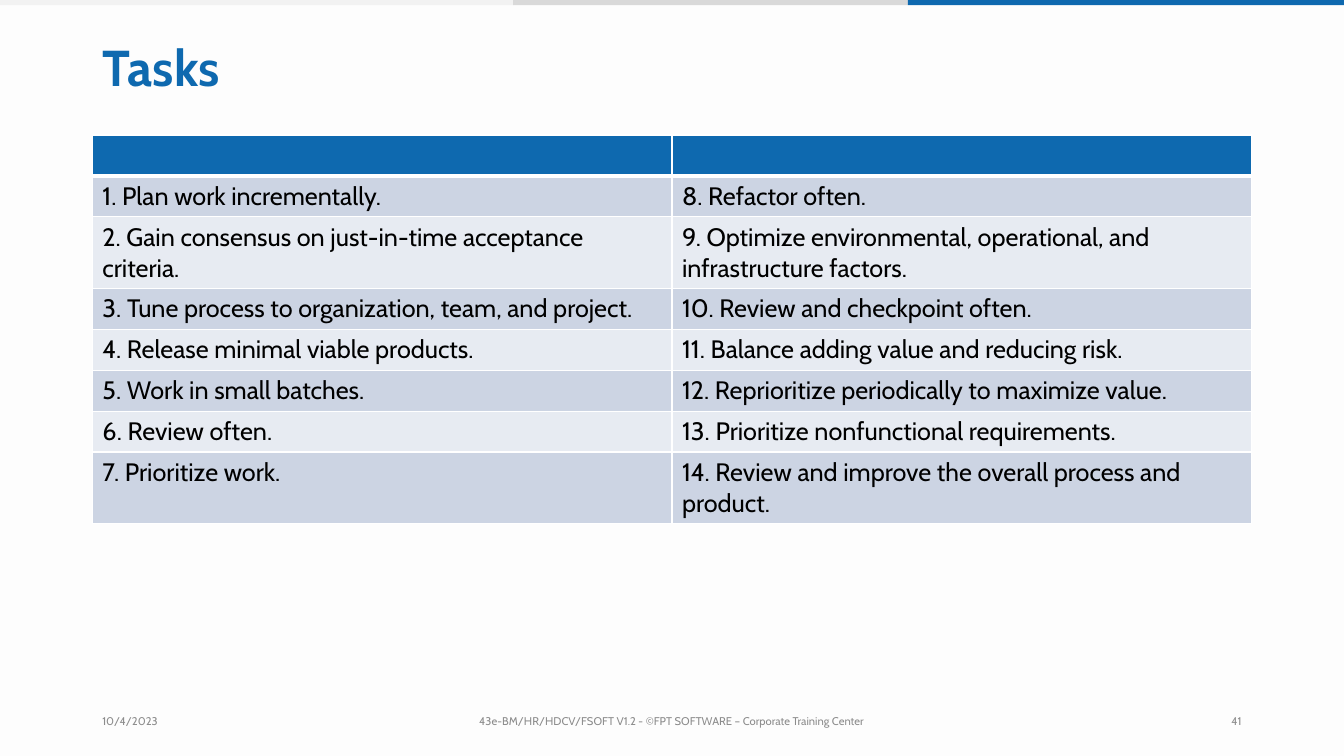
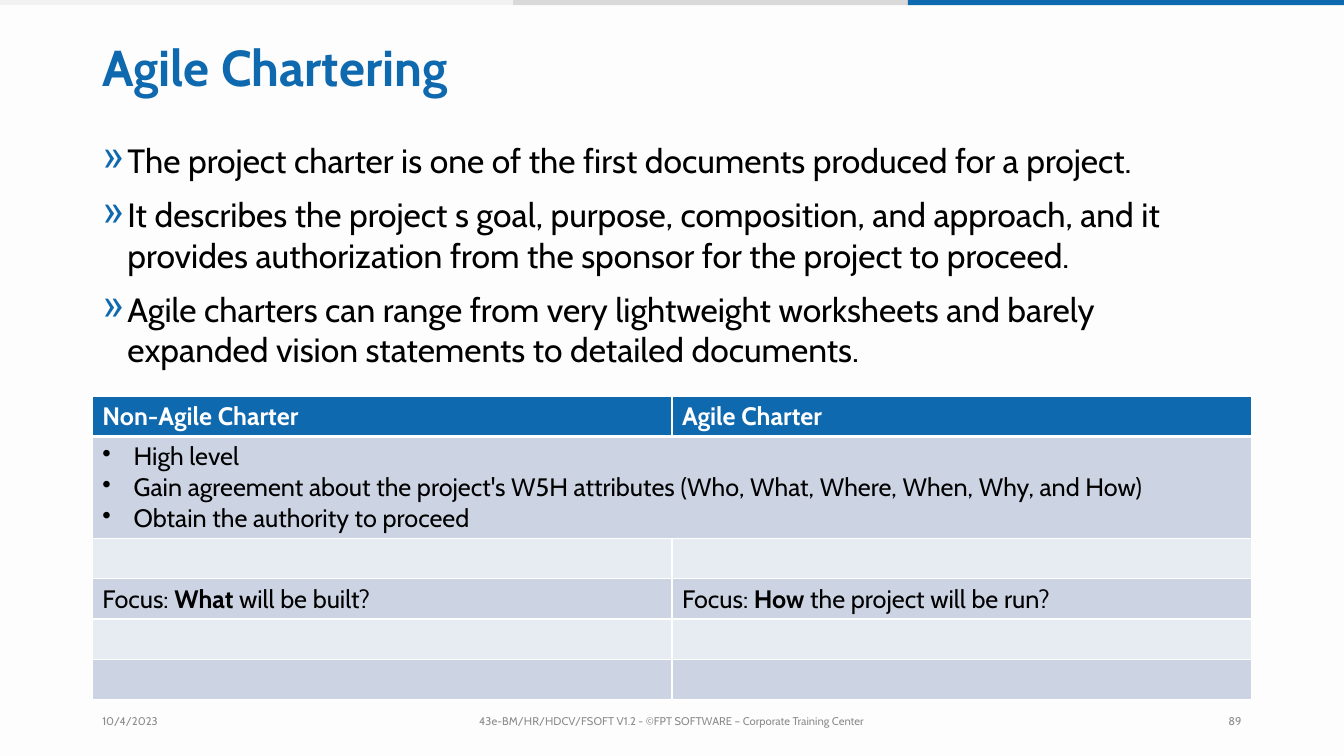
"""Build two agile training slides: a task table and a chartering comparison."""
from dataclasses import dataclass

from lxml.etree import SubElement
from pptx import Presentation
from pptx.dml.color import RGBColor
from pptx.enum.shapes import MSO_SHAPE
from pptx.enum.text import MSO_ANCHOR, PP_ALIGN
from pptx.oxml.ns import qn
from pptx.util import Inches, Pt


@dataclass(frozen=True)
class Theme:
    font: str = "Cabin"
    paper: str = "FDFDFD"
    blue: str = "0E69AF"
    silver: str = "D9D9D9"
    mist: str = "F2F2F2"
    white: str = "FFFFFF"
    black: str = "000000"
    footer_grey: str = "8C8C8C"
    row_dark: str = "CCD4E3"
    row_light: str = "E7EBF2"
    title_size: int = 36
    body_size: int = 24
    table_size: int = 18
    footer_size: int = 8


theme = Theme()
styles = {
    "title": {"size": theme.title_size, "color": theme.blue, "bold": True},
    "body": {"size": theme.body_size, "color": theme.black,
             "bullet": ("»", 0.25, theme.blue, 120)},
    "header": {"size": theme.table_size, "color": theme.white, "bold": True},
    "cell": {"size": theme.table_size, "color": theme.black},
    "list": {"size": theme.table_size, "color": theme.black,
             "bullet": ("•", 0.31, theme.black, 100)},
    "footer": {"size": theme.footer_size, "color": theme.footer_grey},
}

deck = Presentation()
deck.slide_width, deck.slide_height = Inches(40 / 3), Inches(7.5)
column, row = deck.slide_width / 160, deck.slide_height / 150
margin, content = 11, 138
background = deck.slide_master.background.fill
background.solid()
background.fore_color.rgb = RGBColor.from_string(theme.paper)


def grid(left, top, width, height):
    """Turn grid columns and rows into a position and a size."""
    return [round(length) for length in
            (left * column, top * row, width * column, height * row)]


def write(frame, lines, style, **para_format):
    """Write one paragraph per line; double asterisks switch bold on and off."""
    frame.word_wrap = True
    for number, line in enumerate(lines):
        para = frame.add_paragraph() if number else frame.paragraphs[0]
        if "bullet" in style:
            mark, indent, color, percent = style["bullet"]
            properties = para._p.get_or_add_pPr()
            properties.set("marL", str(Inches(indent)))
            properties.set("indent", str(-Inches(indent)))
            tint = SubElement(properties, qn("a:buClr"))
            SubElement(tint, qn("a:srgbClr"), val=color)
            SubElement(properties, qn("a:buSzPct"), val=str(percent * 1000))
            SubElement(properties, qn("a:buChar"), char=mark)
        for name, value in para_format.items():
            if number or name != "space_before":
                setattr(para, name, value)
        for index, piece in enumerate(line.split("**")):
            span = para.add_run()
            span.text = piece
            bold = style.get("bold", False) or index % 2 == 1
            for name, value in {"name": theme.font, "size": Pt(style["size"]), "bold": bold}.items():
                setattr(span.font, name, value)
            span.font.color.rgb = RGBColor.from_string(style["color"])


tasks = [
    "Plan work incrementally.",
    "Gain consensus on just-in-time acceptance criteria.",
    "Tune process to organization, team, and project.",
    "Release minimal viable products.",
    "Work in small batches.",
    "Review often.",
    "Prioritize work.",
    "Refactor often.",
    "Optimize environmental, operational, and infrastructure factors.",
    "Review and checkpoint often.",
    "Balance adding value and reducing risk.",
    "Reprioritize periodically to maximize value.",
    "Prioritize nonfunctional requirements.",
    "Review and improve the overall process and product.",
]
numbered = [f"{number}. {task}" for number, task in enumerate(tasks, 1)]
half = len(numbered) // 2
charter_aims = [
    "High level",
    "Gain agreement about the project's W5H attributes (Who, What, Where, When, Why, and How)",
    "Obtain the authority to proceed",
]
pages = [
    {
        "title": "Tasks", "number": "41", "bullets": [], "table_top": 26.8,
        "rows": [("", ""), *zip(numbered[:half], numbered[half:])],
        "heights": [8, 8, 14, 8, 8, 8, 8, 14],
    },
    {
        "title": "Agile Chartering", "number": "89",
        "bullets": [
            "The project charter is one of the first documents produced for a project.",
            "It describes the project s goal, purpose, composition, and approach, "
            "and it provides authorization from the sponsor for the project to proceed.",
            "Agile charters can range from very lightweight worksheets and barely "
            "expanded vision statements to detailed documents.",
        ],
        "table_top": 78.6,
        "rows": [
            ("Non-Agile Charter", "Agile Charter"),
            (charter_aims,),
            ("", ""),
            ("Focus: **What** will be built?", "Focus: **How** the project will be run?"),
            ("", ""),
            ("", ""),
        ],
        "heights": [8, 20.2, 8, 8, 8, 8],
    },
]
bands = [(0, 61.1, theme.mist), (61.1, 108.1, theme.silver), (108.1, 160, theme.blue)]
copyright_line = "43e-BM/HR/HDCV/FSOFT V1.2 - ©FPT SOFTWARE – Corporate Training Center"

for content_page in pages:
    page = deck.slides.add_slide(deck.slide_layouts[5])
    for start, end, color in bands:
        band = page.shapes.add_shape(MSO_SHAPE.RECTANGLE, *grid(start, 0, end - start, 1))
        band.shadow.inherit = False
        band.fill.solid()
        band.fill.fore_color.rgb = RGBColor.from_string(color)
        band.line.fill.background()

    title = page.shapes.title
    title.left, title.top, title.width, title.height = grid(margin, 3, content, 22)
    title.text_frame.vertical_anchor = MSO_ANCHOR.MIDDLE
    write(title.text_frame, [content_page["title"]], styles["title"],
          alignment=PP_ALIGN.LEFT, line_spacing=0.9)

    if content_page["bullets"]:
        body = page.shapes.add_textbox(*grid(margin, 26.8, content, 50.6))
        write(body.text_frame, content_page["bullets"], styles["body"], space_before=Pt(10))

    heights = content_page["heights"]
    table = page.shapes.add_table(
        len(heights), 2, *grid(margin, content_page["table_top"], content, sum(heights))).table
    for row_index, (texts, height) in enumerate(zip(content_page["rows"], heights)):
        table.rows[row_index].height = round(height * row)
        if len(texts) == 1:
            table.cell(row_index, 0).merge(table.cell(row_index, 1))
        fill = theme.row_dark if row_index % 2 else theme.row_light
        if row_index == 0:
            fill = theme.blue
        for column_index in range(2):
            cell = table.cell(row_index, column_index)
            widths = {"lnL": 1, "lnR": 1, "lnT": 3 if row_index == 1 else 1,
                      "lnB": 3 if row_index == 0 else 1}
            for side, width in widths.items():
                border = SubElement(cell._tc.get_or_add_tcPr(), qn(f"a:{side}"), w=str(Pt(width)))
                paint = SubElement(border, qn("a:solidFill"))
                SubElement(paint, qn("a:srgbClr"), val=theme.white)
            cell.fill.solid()
            cell.fill.fore_color.rgb = RGBColor.from_string(fill)
        for column_index, text in enumerate(texts):
            if text:
                is_list = isinstance(text, list)
                style = "header" if row_index == 0 else "list" if is_list else "cell"
                write(table.cell(row_index, column_index).text_frame,
                      text if is_list else [text], styles[style])

    footers = [
        (margin, 36, "10/4/2023", PP_ALIGN.LEFT),
        (53, 54, copyright_line, PP_ALIGN.CENTER),
        (113, 36, content_page["number"], PP_ALIGN.RIGHT),
    ]
    for left, width, text, alignment in footers:
        box = page.shapes.add_textbox(*grid(left, 139, width, 8))
        box.text_frame.vertical_anchor = MSO_ANCHOR.MIDDLE
        write(box.text_frame, [text], styles["footer"], alignment=alignment)

deck.save("out.pptx")
